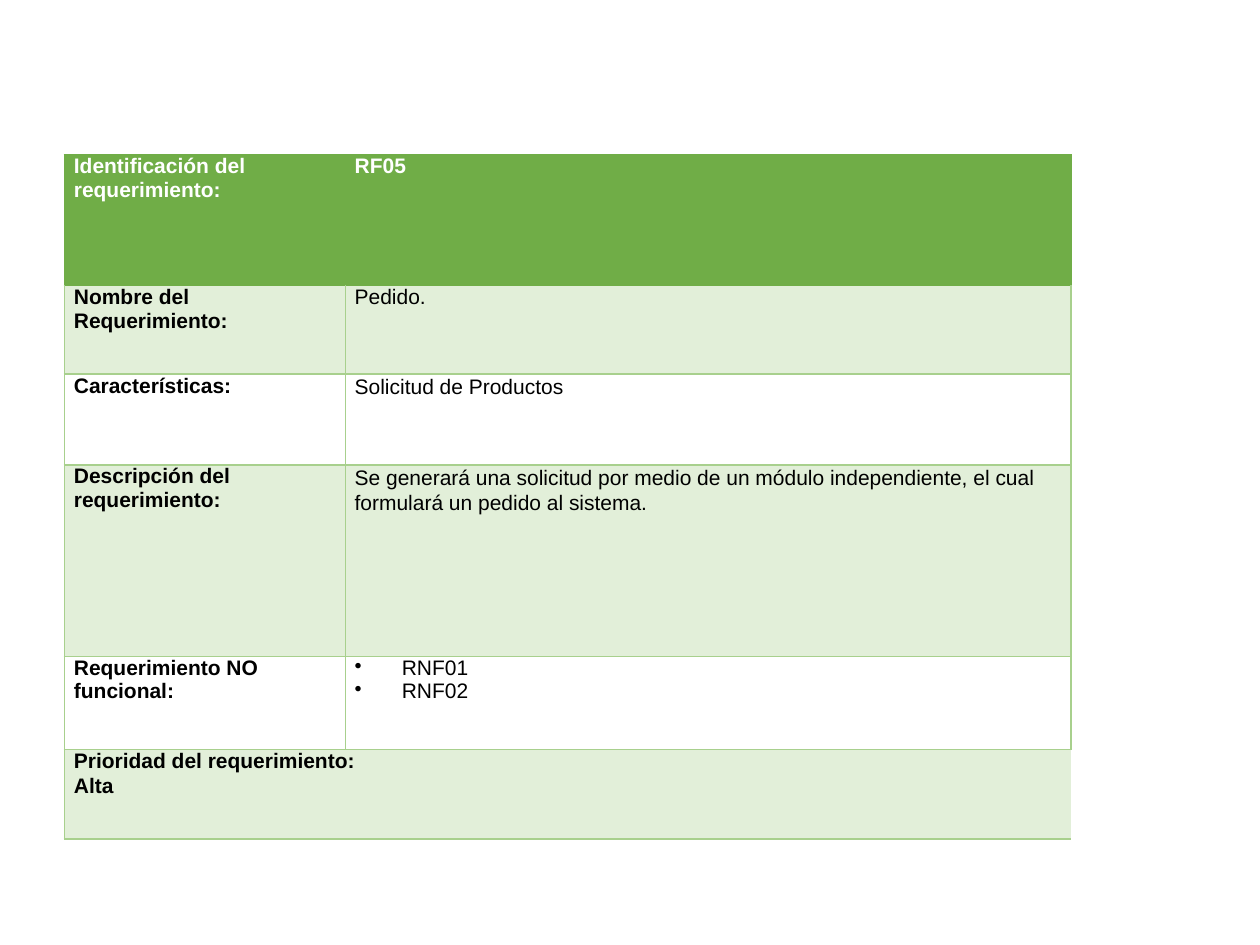
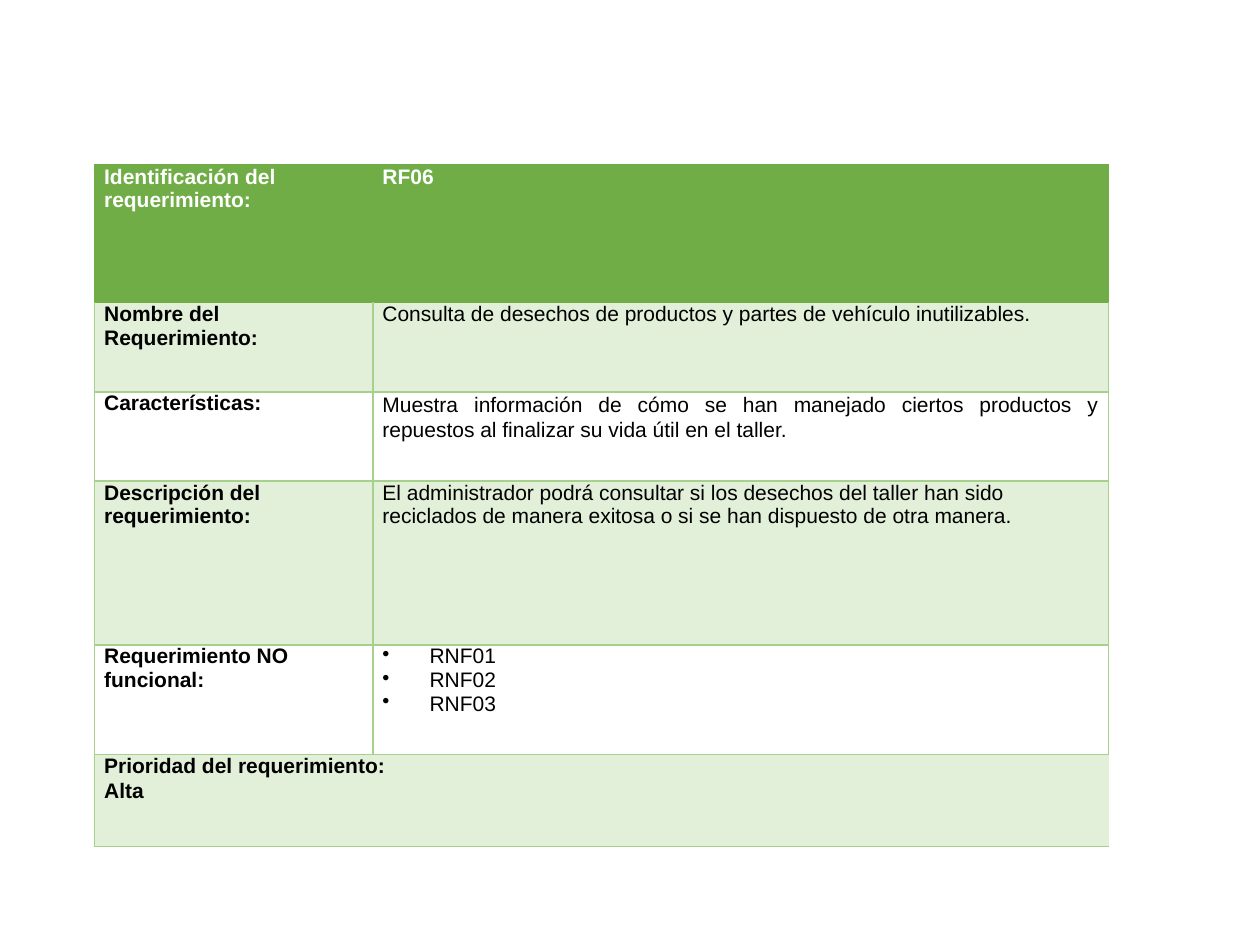
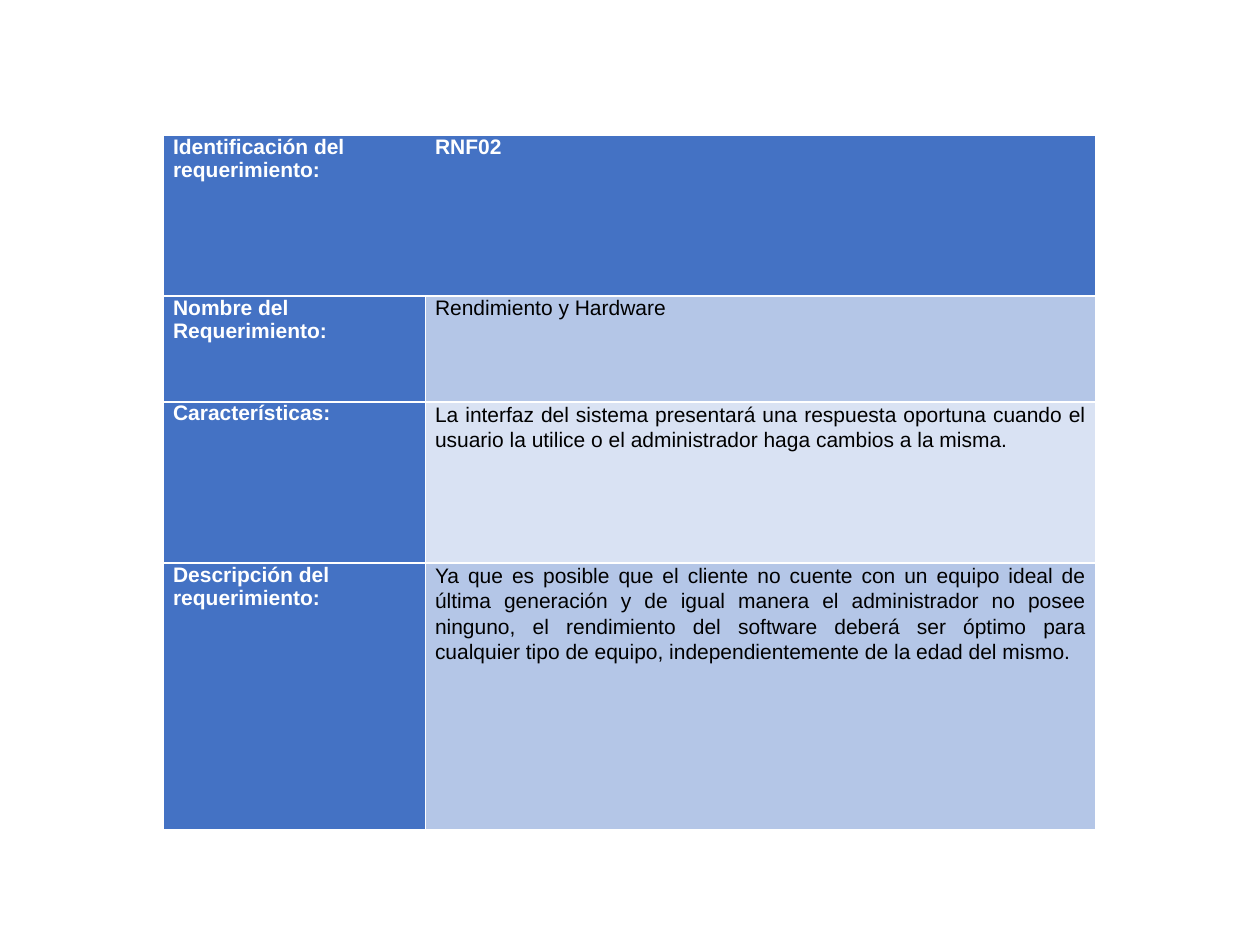
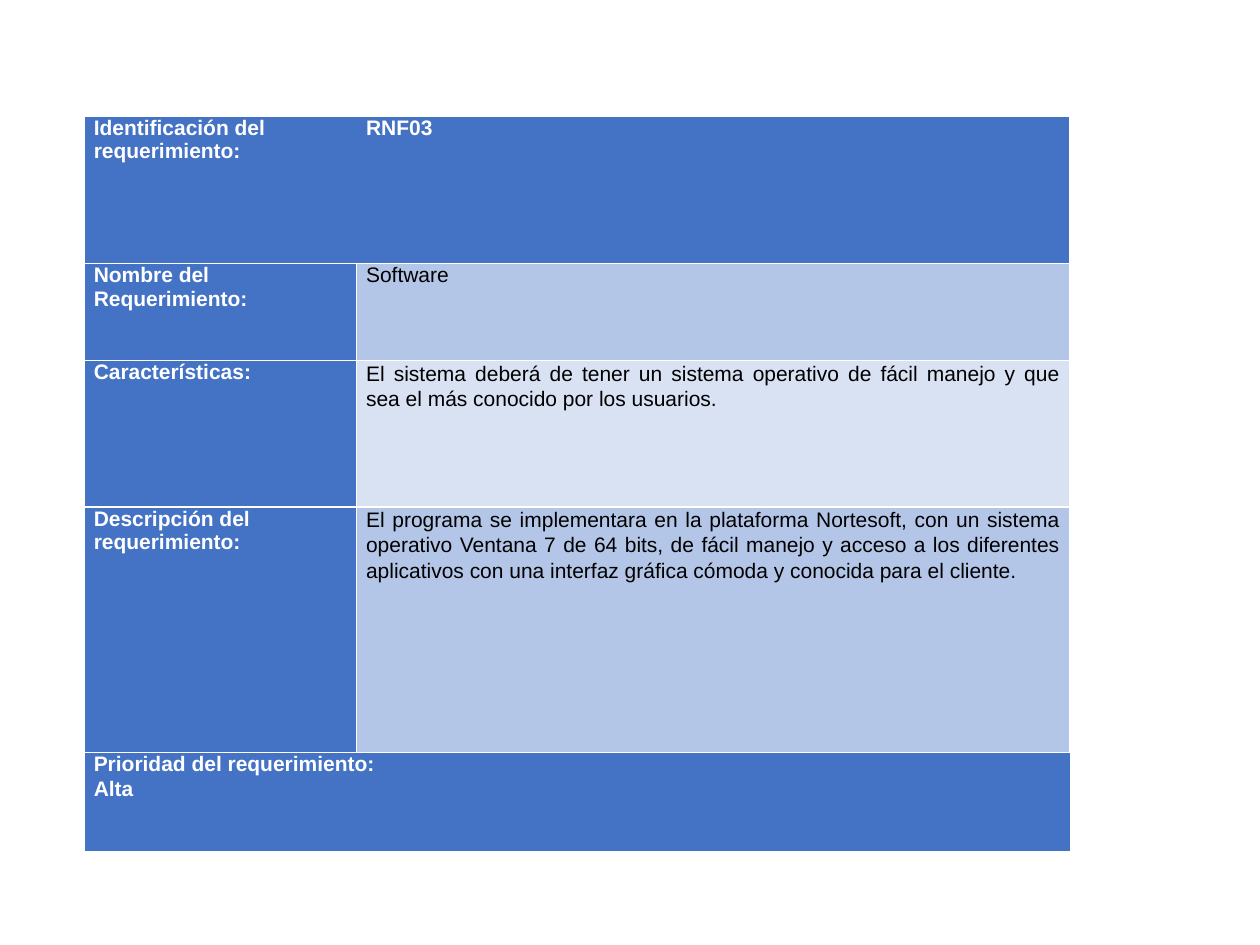
import pptx
import pptx.dml.color
import pptx.enum.text
import pptx.oxml.ns
import pptx.util
from dataclasses import dataclass
from lxml import etree

Cm = pptx.util.Cm
qn = pptx.oxml.ns.qn
JUST = pptx.enum.text.PP_ALIGN.JUSTIFY
WHITE, BLACK = "FFFFFF", "000000"
LOOSE = 1.07
LABELS = [
    "Identificación del requerimiento:",
    "Nombre del Requerimiento:",
    "Características:",
    "Descripción del requerimiento:",
]
EXTRA = "Requerimiento NO funcional:"
RANK = ["Prioridad del requerimiento:", "Alta"]


@dataclass
class Theme:
    head: str
    edge: str      # border of the header row
    line: str      # border of the other rows
    side: str      # label text colour below the header
    bands: tuple   # value fills of odd and even rows
    solid: bool    # whether the labels take the header fill


GREEN = Theme("70AD47", "70AD47", "A8D08D", BLACK, ("E2EFD9", WHITE), False)
BLUE = Theme("4472C4", WHITE, WHITE, WHITE, ("B4C6E7", "D9E2F3"), True)


def color(code):
    return pptx.dml.color.RGBColor.from_string(code)


def write(frame, lines, ink=BLACK, bold=False, align=None, space=None,
          bullet=False, size=12):
    """Fill a text frame; space is one value or one per line."""
    spaces = space if isinstance(space, list) else [space] * len(lines)
    for i, (line, gap) in enumerate(zip(lines, spaces)):
        para = frame.add_paragraph() if i else frame.paragraphs[0]
        para.alignment = align
        para.line_spacing = gap
        if bullet:
            props = para._p.get_or_add_pPr()
            props.set("marL", str(Cm(0.95)))
            props.set("indent", str(-Cm(0.95)))
            etree.SubElement(props, qn("a:buChar")).set("char", "•")
        run = para.add_run()
        run.text = line
        font = run.font
        font.name, font.size, font.bold = "Arial", pptx.util.Pt(size), bold
        font.color.rgb = color(ink)


def border(cell, **sides):
    """Draw 1 pt borders; a side given as None gets no line."""
    props = cell._tc.get_or_add_tcPr()
    for side in "LRTB":
        line = etree.SubElement(props, qn("a:ln" + side), w=str(pptx.util.Pt(1)))
        if sides[side]:
            fill = etree.SubElement(line, qn("a:solidFill"))
            etree.SubElement(fill, qn("a:srgbClr")).set("val", sides[side])
        else:
            etree.SubElement(line, qn("a:noFill"))


class Deck:
    def __init__(self):
        self.show = pptx.Presentation()
        self.show.slide_width, self.show.slide_height = Cm(25.4), Cm(19.05)
        self.slide = None

    def page(self, theme):
        self.theme = theme
        self.slide = self.show.slides.add_slide(self.show.slide_layouts[6])

    def cell(self, cell, row, col, wide):
        """Set margins, borders and fill by place in the table."""
        look = self.theme
        cell.margin_left = cell.margin_right = Cm(0.19)
        cell.margin_top = cell.margin_bottom = 0
        rim = look.line if row else look.edge
        inner = None if wide or row == 0 else rim
        border(cell, L=inner if col else rim, R=rim if col else inner,
               T=look.edge if row < 2 else look.line, B=rim)
        head = row == 0 or (look.solid and (col == 0 or wide))
        cell.fill.solid()
        cell.fill.fore_color.rgb = color(
            look.head if head else look.bands[(row + 1) % 2])

    def table(self, left, top, cols, rows, items):
        """Each item is (lines, format); RANK fills both columns."""
        frame = self.slide.shapes.add_table(
            len(rows), 2, Cm(left), Cm(top), Cm(sum(cols)), Cm(sum(rows)))
        grid = frame.table
        grid.first_row = grid.horz_banding = False
        for col, width in zip(grid.columns, cols):
            col.width = Cm(width)
        labels = LABELS + [EXTRA]
        for i, (height, (lines, form)) in enumerate(zip(rows, items)):
            grid.rows[i].height = Cm(height)
            wide = lines is RANK
            for j in range(2):
                self.cell(grid.cell(i, j), i, j, wide)
            first, last = grid.cell(i, 0), grid.cell(i, 1)
            ink = self.theme.side if i else WHITE
            if wide:
                first.merge(last)
                write(first.text_frame, lines, ink=ink, bold=True, **form)
                continue
            write(first.text_frame, [labels[i]], ink=ink, bold=True)
            write(last.text_frame, lines, **form)


HEAD = dict(ink=WHITE, bold=True)
FULL = dict(align=JUST, space=LOOSE)
DOTS = dict(bullet=True)
LAST = (RANK, dict(space=[None, LOOSE]))

PAGES = [
    (GREEN, 1.3, 3.12, (5.66, 14.63), (2.64, 1.78, 1.83, 3.86, 1.88, 1.8), [
        (["RF05"], HEAD),
        (["Pedido."], {}),
        (["Solicitud de Productos"], FULL),
        (["Se generará una solicitud por medio de un módulo independiente, "
          "el cual formulará un pedido al sistema."], dict(space=LOOSE)),
        (["RNF01", "RNF02"], DOTS),
        LAST]),
    (GREEN, 1.91, 3.33, (5.61, 14.83), (2.77, 1.8, 1.8, 3.3, 2.21, 1.85), [
        (["RF06"], HEAD),
        (["Consulta de desechos de productos y partes de vehículo "
          "inutilizables."], {}),
        (["Muestra información de cómo se han manejado ciertos productos y "
          "repuestos al finalizar su vida útil en el taller."], FULL),
        (["El administrador podrá consultar si los desechos del taller han "
          "sido reciclados de manera exitosa o si se han dispuesto de otra "
          "manera."], {}),
        (["RNF01", "RNF02", "RNF03"], DOTS),
        LAST]),
    (BLUE, 3.3, 2.72, (5.28, 13.51), (3.25, 2.13, 3.25, 5.38), [
        (["RNF02"], HEAD),
        (["Rendimiento y Hardware"], {}),
        (["La interfaz del sistema presentará una respuesta oportuna cuando "
          "el usuario la utilice o el administrador haga cambios a la "
          "misma."], FULL),
        (["Ya que es posible que el cliente no cuente con un equipo ideal de "
          "última generación y de igual manera el administrador no posee "
          "ninguno, el rendimiento del software deberá ser óptimo para "
          "cualquier tipo de equipo, independientemente de la edad del "
          "mismo."], FULL)]),
    (BLUE, 1.7, 2.34, (5.49, 14.38), (2.97, 1.96, 2.95, 4.95, 2.01), [
        (["RNF03"], HEAD),
        (["Software"], {}),
        (["El sistema deberá de tener un sistema operativo de fácil manejo y "
          "que sea el más conocido por los usuarios."], FULL),
        (["El programa se implementara en la plataforma Nortesoft, con un "
          "sistema operativo Ventana 7 de 64 bits, de fácil manejo y acceso "
          "a los diferentes aplicativos con una interfaz gráfica cómoda y "
          "conocida para el cliente."], FULL),
        LAST]),
]


def main():
    deck = Deck()
    for theme, *body in PAGES:
        deck.page(theme)
        deck.table(*body)
    deck.show.save("out.pptx")


if __name__ == "__main__":
    main()
